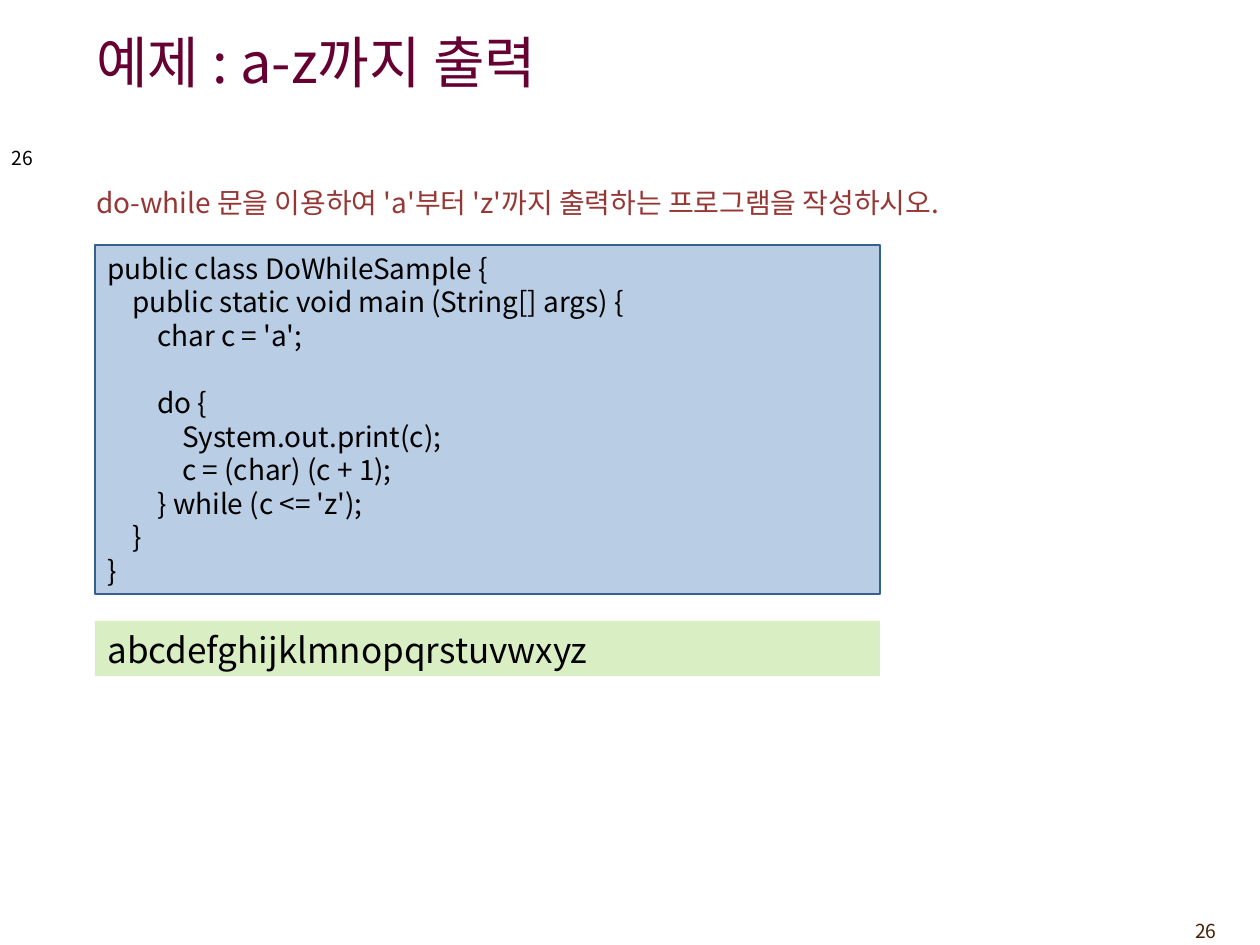
import pptx
import pptx.util
import pptx.dml.color
import pptx.enum.shapes
import pptx.enum.text
import pptx.oxml.ns
from lxml import etree

PAGE = "26"
TITLE = "예제 : a-z까지 출력"
TASK = "do-while 문을 이용하여 'a'부터 'z'까지 출력하는 프로그램을 작성하시오."
CODE = [
    "public class DoWhileSample {",
    "\tpublic static void main (String[] args) {",
    "\t\tchar c = 'a';",
    "",
    "\t\tdo {",
    "\t\t\tSystem.out.print(c);",
    "\t\t\tc = (char) (c + 1);",
    "\t\t} while (c <= 'z');",
    "\t}",
    "}",
]
OUTPUT = "abcdefghijklmnopqrstuvwxyz"

THEME = {
    "font": "Noto Sans CJK KR",
    "title": "660033", "task": "953735", "ink": "000000", "page": "452103",
    "code": "B9CDE5", "edge": "376092", "output": "DAEEC4",
    # type size and line pitch, in points
    "head": (32, 44), "body": (16, 21), "source": (16, 19.2),
    "result": (20, 25), "foot": (11, 13.5), "side": (11, 12),
}
SCALE = 914400 // 126
TAB = 25
ALIGN = pptx.enum.text.PP_ALIGN
ANCHOR = pptx.enum.text.MSO_ANCHOR

deck = pptx.Presentation()
deck.slide_width, deck.slide_height = 1260 * SCALE, 945 * SCALE
slide = deck.slides.add_slide(deck.slide_layouts[6])


def color(name):
    return pptx.dml.color.RGBColor.from_string(THEME[name])


def add_tabs(para, count=7):
    tabs = etree.SubElement(para._p.get_or_add_pPr(), pptx.oxml.ns.qn("a:tabLst"))
    for stop in range(1, count + 1):
        etree.SubElement(tabs, pptx.oxml.ns.qn("a:tab"),
                         pos=str(stop * TAB * SCALE), algn="l")


def add_text(lines, box, style, ink="ink", fill=None, edge=None,
             align=ALIGN.LEFT, anchor=ANCHOR.TOP, tabs=False):
    """Put lines in a plain text box, or in a rectangle if there is a fill."""
    place = [side * SCALE for side in box]
    if fill:
        shape = slide.shapes.add_shape(
            pptx.enum.shapes.MSO_SHAPE.RECTANGLE, *place)
        shape.shadow.inherit = False
        shape.fill.solid()
        shape.fill.fore_color.rgb = color(fill)
        if edge:
            shape.line.color.rgb = color(edge)
            shape.line.width = pptx.util.Pt(0.75)
        else:
            shape.line.fill.background()
    else:
        shape = slide.shapes.add_textbox(*place)
    frame = shape.text_frame
    frame.word_wrap = True
    frame.vertical_anchor = anchor
    size, pitch = THEME[style]
    for i, line in enumerate(lines):
        para = frame.add_paragraph() if i else frame.paragraphs[0]
        para.alignment = align
        para.line_spacing = pptx.util.Pt(pitch)
        if tabs:
            add_tabs(para)
        run = para.add_run()
        run.text = line
        run.font.size = pptx.util.Pt(size)
        run.font.color.rgb = color(ink)
        run.font.name = THEME["font"]
        etree.SubElement(run.font._element, pptx.oxml.ns.qn("a:ea"),
                         typeface=THEME["font"])


add_text([PAGE], (1124, 913, 105, 37), "foot", ink="page", align=ALIGN.RIGHT)
add_text([TITLE], (84, 10, 1124, 93), "head", ink="title", anchor=ANCHOR.MIDDLE)
add_text(CODE, (95, 245, 785, 349), "source", fill="code", edge="edge", tabs=True)
add_text([TASK], (84, 176, 1077, 47), "body", ink="task")
add_text([OUTPUT], (95, 621, 785, 55), "result", fill="output")
add_text([PAGE], (-1, 142, 73, 34), "side")

deck.save("out.pptx")
